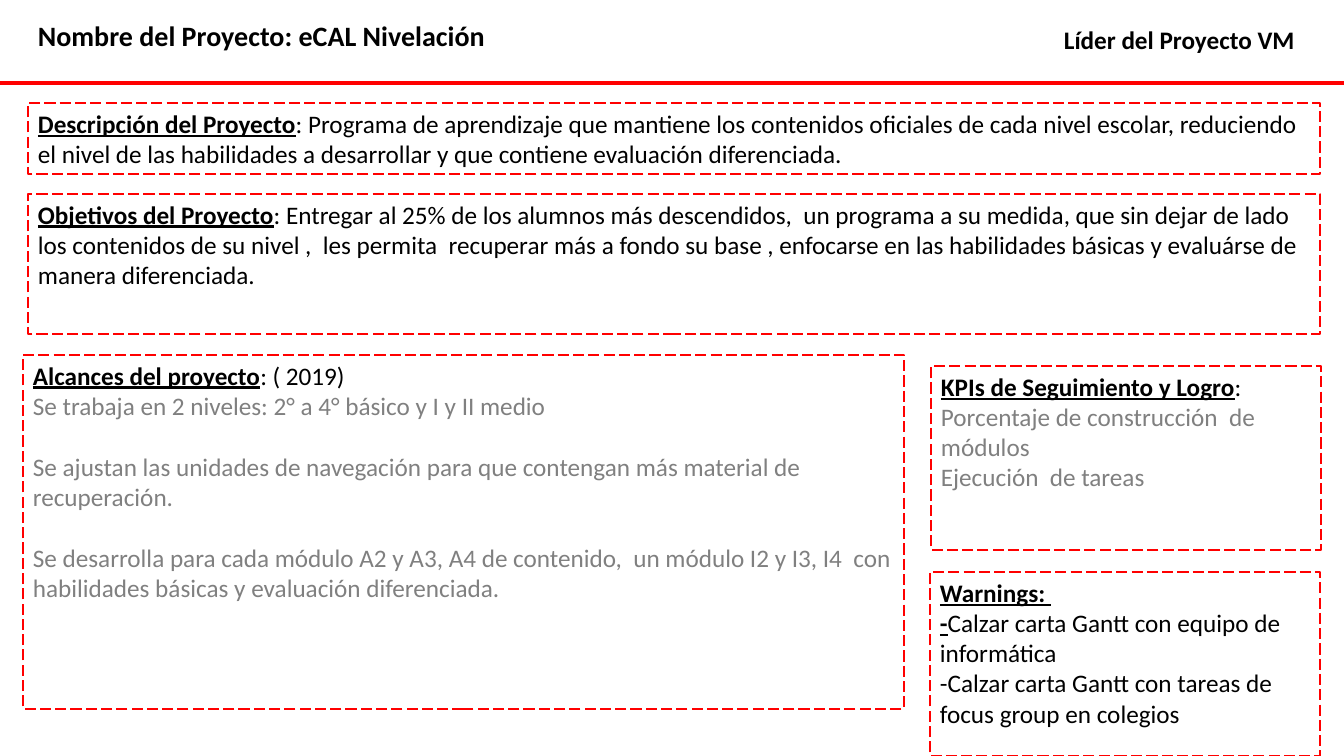
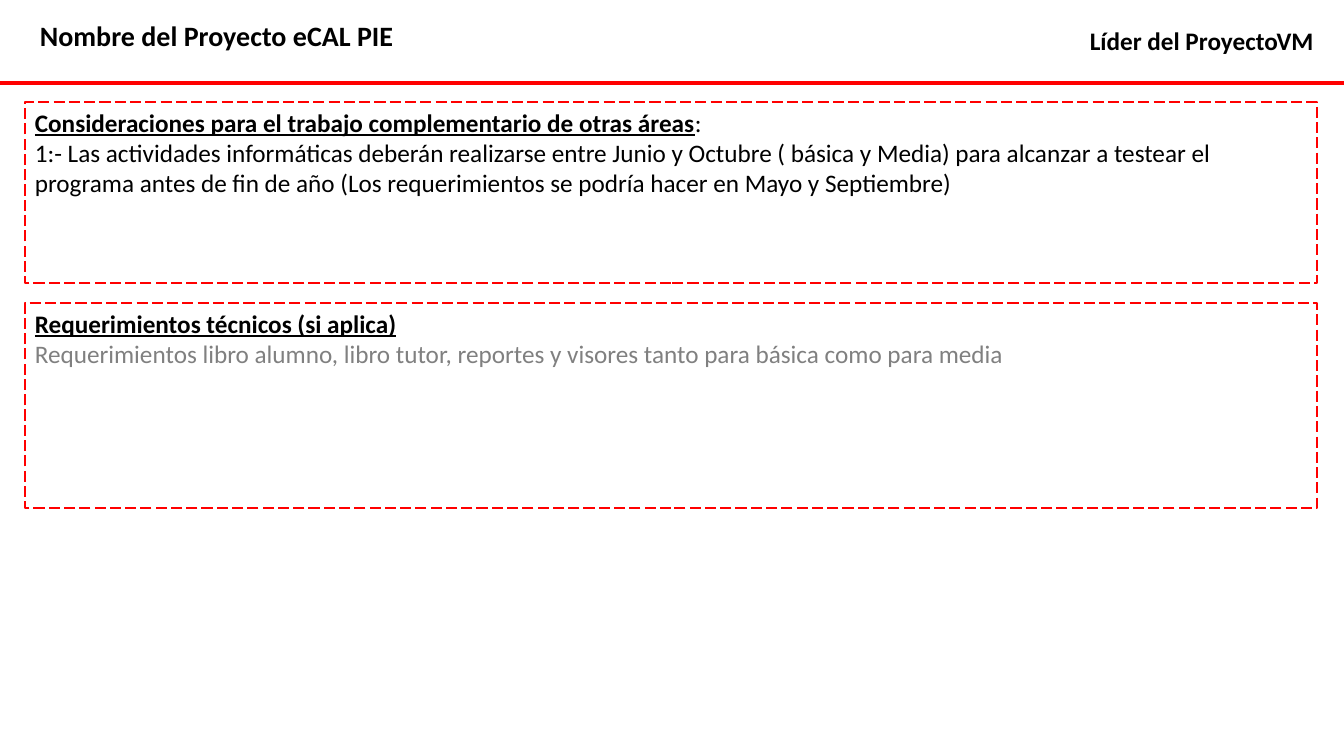
from pptx import Presentation
from pptx.dml.color import RGBColor
from pptx.enum.dml import MSO_LINE
from pptx.enum.shapes import MSO_CONNECTOR, MSO_SHAPE
from pptx.enum.text import MSO_ANCHOR, MSO_AUTO_SIZE, PP_ALIGN
from pptx.oxml.ns import qn
from pptx.util import Emu, Pt
from lxml.etree import SubElement

RED = RGBColor(0xFF, 0x00, 0x00)
BLACK = RGBColor(0x00, 0x00, 0x00)
GRAY = RGBColor(0x80, 0x80, 0x80)
FONT = "Calibri"
BODY_SIZE = 18
TITLE_SIZE = 20
BLANK_LINE = 22
PAGE_WIDTH, PAGE_HEIGHT = 1344, 756
RULE_TOP = 83
PANEL_WIDTH = 1292
SIDE_WIDTH, SIDE_HEIGHT = 390, 184


def px(*lengths):
    return [Emu(round(length * 914400 / 100.8)) for length in lengths]


def add_span(para, text, size=BODY_SIZE, color=BLACK, heading=False, bold=False):
    span = para.add_run()
    span.text = text
    span.font.name = FONT
    span.font.size = Pt(size)
    span.font.color.rgb = color
    span.font.bold = bold or heading
    span.font.underline = heading


pages = [
    {
        "title": ("Nombre del Proyecto: eCAL Nivelación", (28, 14, 481, 44)),
        "leader": ("Líder del Proyecto VM", (1054, 19, 253, 40)),
        "panels": [
            ((28, 103, PANEL_WIDTH, 71), [
                ("Descripción del Proyecto",
                 ": Programa de aprendizaje que mantiene los contenidos oficiales de cada "
                 "nivel escolar, reduciendo el nivel de las habilidades a desarrollar y que "
                 "contiene evaluación diferenciada. ", BLACK, 0),
            ]),
            ((28, 194, PANEL_WIDTH, 140), [
                ("Objetivos del Proyecto",
                 ": Entregar al 25% de los alumnos más descendidos,  un programa a su medida, "
                 "que sin dejar de lado los contenidos de su nivel ,  les permita  recuperar "
                 "más a fondo su base , enfocarse en las habilidades básicas y evaluárse de "
                 "manera diferenciada.", BLACK, 0),
            ]),
            ((931, 366, SIDE_WIDTH, SIDE_HEIGHT), [
                ("KPIs de Seguimiento y Logro", ":", BLACK, 0),
                ("", "Porcentaje de construcción  de módulos ", GRAY, 0),
                ("", "Ejecución  de tareas", GRAY, 0),
            ]),
            ((23, 355, 881, 354), [
                ("Alcances del proyecto", ": ( 2019)", BLACK, 0),
                ("", "Se trabaja en 2 niveles: 2° a 4° básico y I y II medio", GRAY, 0),
                ("", "Se ajustan las unidades de navegación para que contengan más material "
                 "de recuperación. ", GRAY, BLANK_LINE),
                ("", "Se desarrolla para cada módulo A2 y A3, A4 de contenido,  un módulo I2 "
                 "y I3, I4  con habilidades básicas y evaluación diferenciada. ",
                 GRAY, BLANK_LINE),
            ]),
            ((930, 572, SIDE_WIDTH, SIDE_HEIGHT), [
                ("Warnings: ", "", BLACK, 0),
                ("-", "Calzar carta Gantt con equipo de informática ", BLACK, 0),
                ("", "-Calzar carta Gantt con tareas de focus group en colegios", BLACK, 0),
            ]),
        ],
    },
    {
        "title": ("Nombre del Proyecto eCAL PIE", (30, 14, 386, 44)),
        "leader": ("Líder del ProyectoVM", (1080, 20, 247, 40)),
        "panels": [
            ((25, 102, PANEL_WIDTH, 181), [
                ("Consideraciones para el trabajo complementario de otras áreas", ":", BLACK, 0),
                ("", "1:- Las actividades informáticas deberán realizarse entre Junio y Octubre "
                 "( básica y Media) para alcanzar a testear el programa antes de fin de año "
                 "(Los requerimientos se podría hacer en Mayo y Septiembre)", BLACK, 0),
            ]),
            ((25, 303, PANEL_WIDTH, 205), [
                ("Requerimientos técnicos (si aplica)", "", BLACK, 0),
                ("", "Requerimientos libro alumno, libro tutor, reportes y visores tanto para "
                 "básica como para media", GRAY, 0),
            ]),
        ],
    },
]

deck = Presentation()
deck.slide_width, deck.slide_height = px(PAGE_WIDTH, PAGE_HEIGHT)

for content in pages:
    page = deck.slides.add_slide(deck.slide_layouts[6])

    rule = page.shapes.add_connector(
        MSO_CONNECTOR.STRAIGHT, *px(0, RULE_TOP, PAGE_WIDTH, RULE_TOP))
    rule.line.color.rgb = RED
    rule.line.width = Pt(2.25)
    SubElement(rule._element.spPr, qn("a:effectLst"))

    for part, size in (("title", TITLE_SIZE), ("leader", BODY_SIZE)):
        text, place = content[part]
        box = page.shapes.add_textbox(*px(*place))
        box.text_frame.word_wrap = False
        box.text_frame.auto_size = MSO_AUTO_SIZE.SHAPE_TO_FIT_TEXT
        add_span(box.text_frame.paragraphs[0], text, size, bold=True)

    for place, lines in content["panels"]:
        panel = page.shapes.add_shape(MSO_SHAPE.RECTANGLE, *px(*place))
        panel.shadow.inherit = False
        panel.fill.background()
        panel.line.color.rgb = RED
        panel.line.width = Pt(1)
        panel.line.dash_style = MSO_LINE.LONG_DASH
        frame = panel.text_frame
        frame.word_wrap = True
        frame.vertical_anchor = MSO_ANCHOR.TOP
        for index, (heading, body, color, gap) in enumerate(lines):
            para = frame.add_paragraph() if index else frame.paragraphs[0]
            para.alignment = PP_ALIGN.LEFT
            para.space_before = Pt(gap)
            if heading:
                add_span(para, heading, heading=True)
            if body:
                add_span(para, body, color=color)

deck.save("out.pptx")
